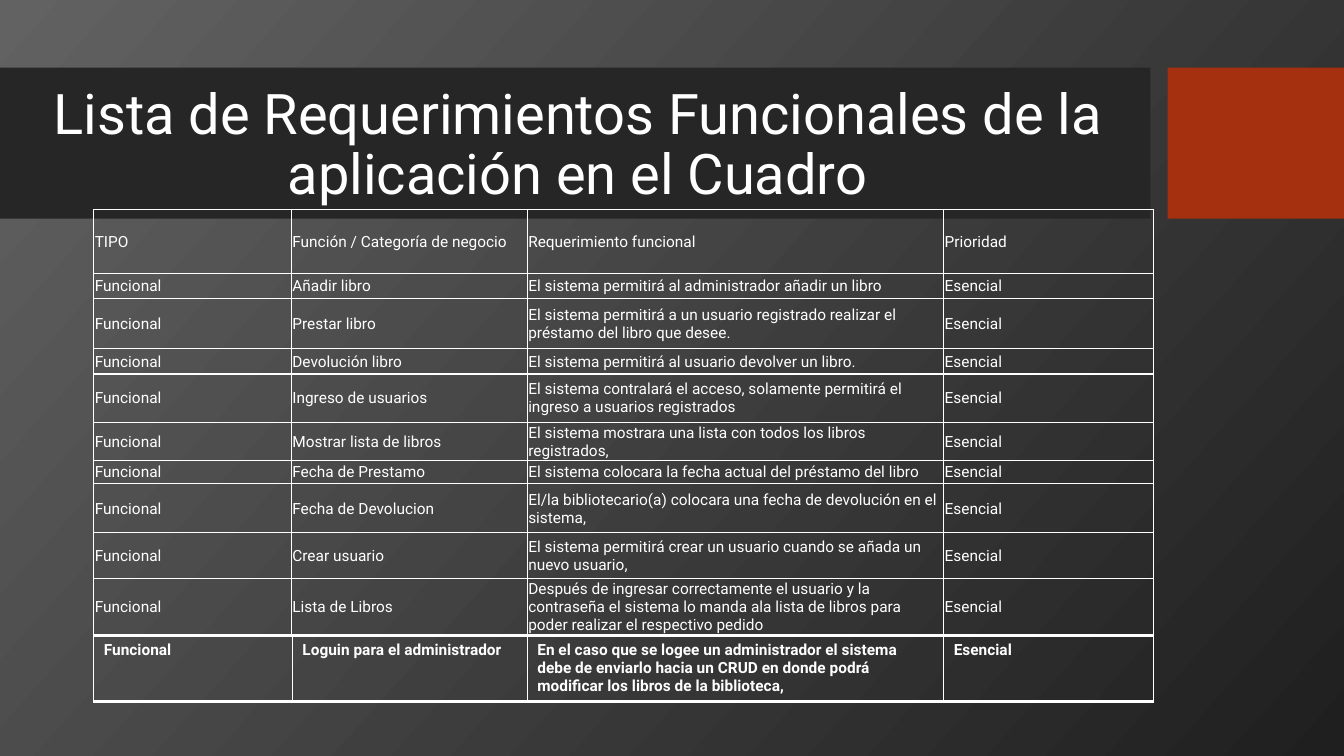
from dataclasses import dataclass

from lxml import etree
from pptx import Presentation
from pptx import util as u
from pptx.dml.color import RGBColor
from pptx.enum import shapes, text
from pptx.oxml import ns


@dataclass(frozen=True)
class Theme:
    font: str = "Roboto"
    title_size: int = 40
    table_size: int = 11
    white: str = "FFFFFF"
    band: str = "262626"
    accent: str = "A5300F"
    background_start: str = "626262"
    background_end: str = "1F1F1F"


class SlideBuilder:
    def __init__(self, slide, theme):
        self.slide = slide
        self.theme = theme

    def background(self, angle):
        fill = self.slide.background.fill
        fill.gradient()
        fill.gradient_angle = 360 - angle
        colors = (self.theme.background_start, self.theme.background_end)
        for stop, color in zip(fill.gradient_stops, colors):
            stop.color.rgb = RGBColor.from_string(color)

    def rectangle(self, left, top, width, height, color):
        shape = self.slide.shapes.add_shape(
            shapes.MSO_SHAPE.RECTANGLE,
            u.Inches(left), u.Inches(top), u.Inches(width), u.Inches(height))
        shape.shadow.inherit = False
        shape.fill.solid()
        shape.fill.fore_color.rgb = RGBColor.from_string(color)
        shape.line.fill.background()

    def style_font(self, paragraph, size, bold=False):
        paragraph.font.name = self.theme.font
        paragraph.font.size = u.Pt(size)
        paragraph.font.bold = bold
        paragraph.font.color.rgb = RGBColor.from_string(self.theme.white)

    def title(self, left, top, width, height, words):
        box = self.slide.shapes.add_textbox(
            u.Inches(left), u.Inches(top), u.Inches(width), u.Inches(height))
        frame = box.text_frame
        frame.word_wrap = True
        frame.vertical_anchor = text.MSO_ANCHOR.MIDDLE
        paragraph = frame.paragraphs[0]
        paragraph.text = words
        paragraph.alignment = text.PP_ALIGN.CENTER
        paragraph.line_spacing = 0.9
        self.style_font(paragraph, self.theme.title_size)

    def cell_borders(self, cell, bottom_width):
        properties = cell._tc.get_or_add_tcPr()
        widths = {"a:lnL": 1, "a:lnR": 1, "a:lnT": 1, "a:lnB": bottom_width}
        for tag, width in widths.items():
            line = etree.SubElement(properties, ns.qn(tag), w=str(u.Pt(width)))
            fill = etree.SubElement(line, ns.qn("a:solidFill"))
            etree.SubElement(fill, ns.qn("a:srgbClr"), val=self.theme.white)

    def table(self, left, top, column_widths, row_heights, rows,
              compact=False, bold=False, bottom_width=1):
        table = self.slide.shapes.add_table(
            len(rows), len(column_widths), u.Inches(left), u.Inches(top),
            u.Inches(sum(column_widths)), u.Inches(sum(row_heights))).table
        table.first_row = False
        table.horz_banding = False
        for column, width in zip(table.columns, column_widths):
            column.width = u.Inches(width)
        for row, height, values in zip(table.rows, row_heights, rows):
            row.height = u.Inches(height)
            for cell, value in zip(row.cells, values):
                self.cell_borders(cell, bottom_width)
                cell.fill.background()
                if compact:
                    cell.vertical_anchor = text.MSO_ANCHOR.MIDDLE
                    cell.margin_left = cell.margin_right = u.Inches(0.01)
                    cell.margin_top = u.Inches(0.01)
                    cell.margin_bottom = 0
                cell.text = value
                self.style_font(cell.text_frame.paragraphs[0],
                                self.theme.table_size, bold)


HEADER = ("TIPO", "Función / Categoría de negocio",
          "Requerimiento funcional", "Prioridad")

# Function, requirement and row height
REQUIREMENTS = [
    ("Añadir libro",
     "El sistema permitirá al administrador añadir un libro", 0.25),
    ("Prestar libro",
     "El sistema permitirá a un usuario registrado realizar el préstamo "
     "del libro que desee.", 0.5),
    ("Devolución libro",
     "El sistema permitirá al usuario devolver un libro.", 0.25),
    ("Ingreso de usuarios",
     "El sistema contralará el acceso, solamente permitirá el ingreso "
     "a usuarios registrados", 0.48),
    ("Mostrar lista de libros",
     "El sistema mostrara una lista con todos los libros registrados,", 0.23),
    ("Fecha de Prestamo",
     "El sistema colocara la fecha actual del préstamo del libro", 0.23),
    ("Fecha de Devolucion",
     "El/la bibliotecario(a) colocara una fecha de devolución "
     "en el sistema,", 0.49),
    ("Crear usuario",
     "El sistema permitirá crear un usuario cuando se añada "
     "un nuevo usuario,", 0.45),
    ("Lista de Libros",
     "Después de ingresar correctamente el usuario y la contraseña el sistema "
     "lo manda ala lista de libros para poder realizar el respectivo pedido",
     0.45),
]
ADMIN_LOGIN = (
    "Loguin para el administrador",
    "En el caso que se logee un administrador el sistema debe de enviarlo "
    "hacia un CRUD en donde podrá modificar los libros de la biblioteca,")


def requirement_row(function, requirement):
    return ("Funcional", function, requirement, "Esencial")


def main():
    presentation = Presentation()
    presentation.slide_width = u.Inches(13.33)
    presentation.slide_height = u.Inches(7.5)
    slide = presentation.slides.add_slide(presentation.slide_layouts[6])
    theme = Theme()
    builder = SlideBuilder(slide, theme)

    # Background and title band
    builder.background(42)
    builder.rectangle(0, 0.67, 11.41, 1.5, theme.band)
    builder.rectangle(11.58, 0.67, 1.75, 1.5, theme.accent)
    builder.title(0.2, 0.82, 11.06, 1.26,
                  "Lista de Requerimientos Funcionales de la "
                  "aplicación en el Cuadro")

    # Main requirements
    rows = [HEADER] + [requirement_row(function, requirement)
                       for function, requirement, _ in REQUIREMENTS]
    heights = [0.63] + [height for _, _, height in REQUIREMENTS]
    builder.table(0.93, 2.08, (1.96, 2.34, 4.13, 2.08), heights, rows,
                  compact=True)

    # Administrator requirement
    builder.table(0.93, 6.31, (1.97, 2.33, 4.13, 2.08), [0.41],
                  [requirement_row(*ADMIN_LOGIN)], bold=True, bottom_width=2)

    presentation.save("out.pptx")


if __name__ == "__main__":
    main()
